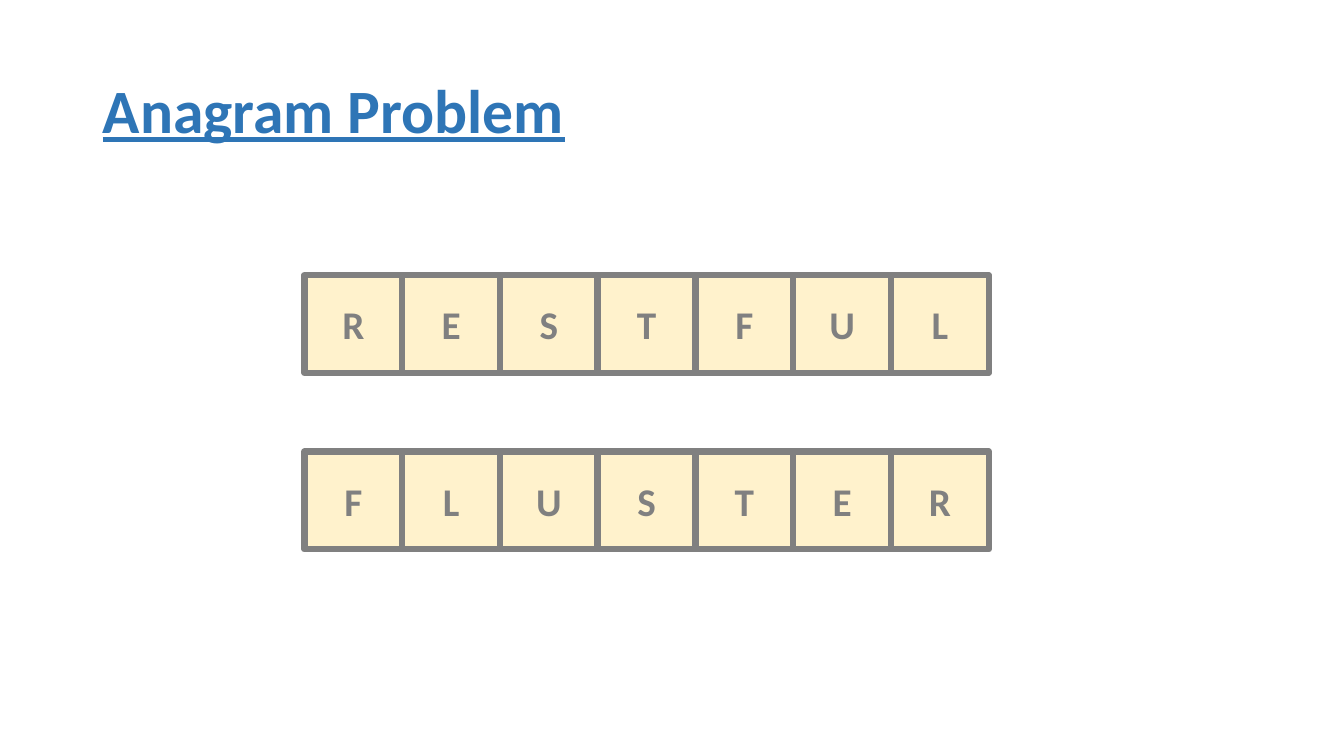
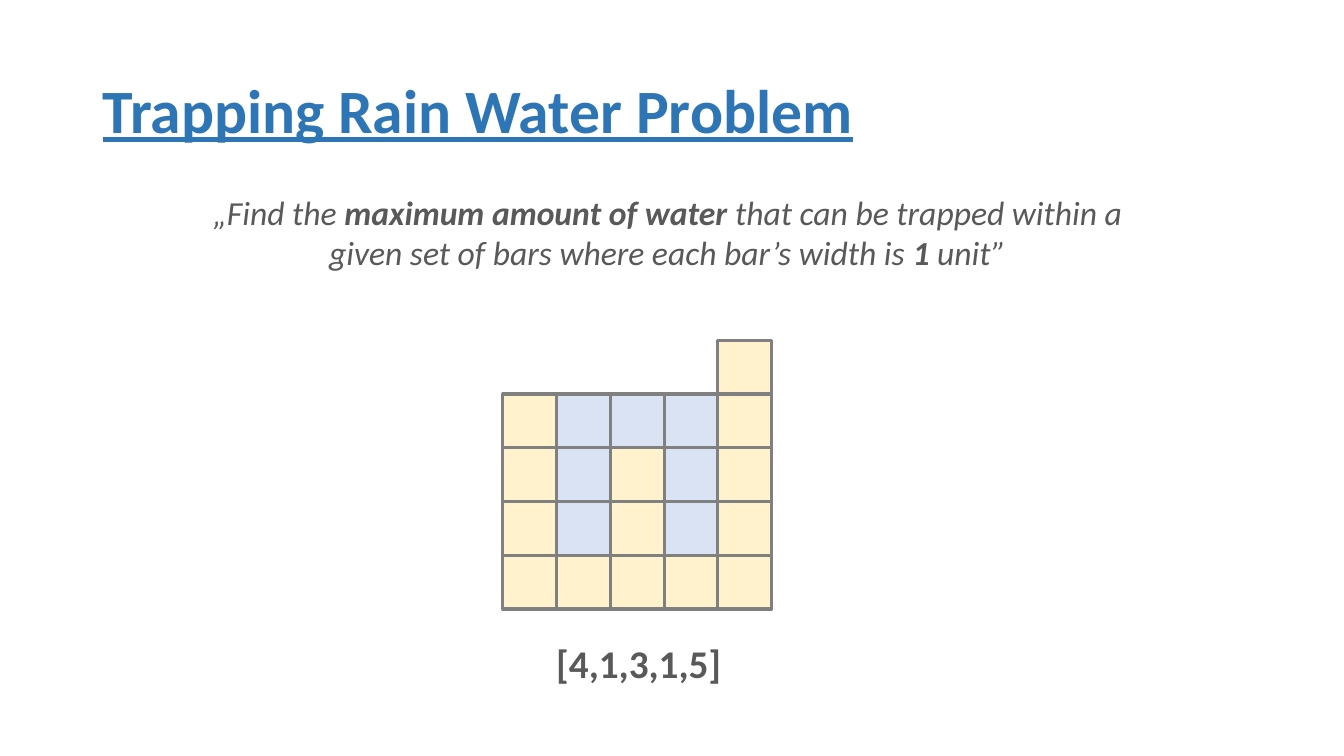
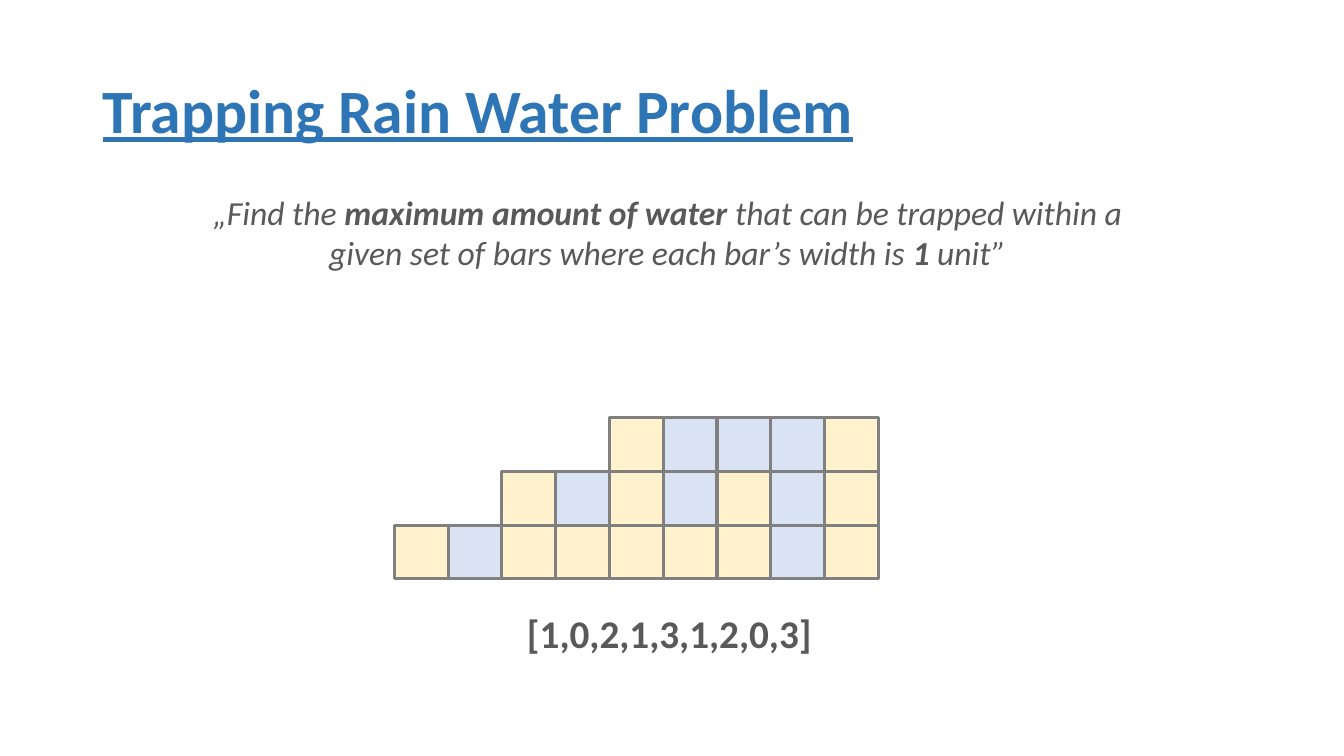
from pptx import Presentation
from pptx.dml.color import RGBColor
from pptx.enum.shapes import MSO_SHAPE
from pptx.enum.text import MSO_ANCHOR, MSO_AUTO_SIZE, PP_ALIGN
from pptx.util import Pt

FONT = "Calibri"
BLUE, GREY, DARK = "2E75B6", "808080", "595959"
CREAM, WATER = "FFF2CC", "DAE3F3"
TITLE_BOX = (66.24, 28.8, 828, 104.4)
STATEMENT_BOX = (77.04, 133.2, 804.96, 152.64)
TILE, TILE_LEFT = 69.84, 217.44
UNIT = 38.4
CAPTION_GAP, CAPTION_HEIGHT = 18, 41.04

STATEMENT = [
    [("„Find the ", False), ("maximum amount of water ", True),
     ("that can be trapped within a ", False)],
    [("given set of bars where each bar’s width is ", False), ("1", True),
     (" unit” ", False)],
]


def color(value):
    return RGBColor.from_string(value)


def add_run(paragraph, text, size, fill, bold=True, italic=False, underline=False):
    run = paragraph.add_run()
    run.text = text
    font = run.font
    font.name, font.size = FONT, Pt(size)
    font.bold, font.italic, font.underline = bold, italic, underline
    font.color.rgb = color(fill)


def add_titled_slide(presentation, text):
    slide = presentation.slides.add_slide(presentation.slide_layouts[5])
    title = slide.shapes.title
    title.left, title.top, title.width, title.height = map(Pt, TITLE_BOX)
    frame = title.text_frame
    frame.auto_size = MSO_AUTO_SIZE.NONE
    frame.vertical_anchor = MSO_ANCHOR.MIDDLE
    paragraph = frame.paragraphs[0]
    paragraph.alignment = PP_ALIGN.LEFT
    paragraph.line_spacing = 0.9
    add_run(paragraph, text, 44, BLUE, underline=True)
    return slide


def add_square(slide, left, top, side, fill, line_width):
    square = slide.shapes.add_shape(
        MSO_SHAPE.RECTANGLE, Pt(left), Pt(top), Pt(side), Pt(side))
    square.shadow.inherit = False
    square.fill.solid()
    square.fill.fore_color.rgb = color(fill)
    square.line.color.rgb = color(GREY)
    square.line.width = Pt(line_width)
    return square


def add_word(slide, word, left, top):
    for column, letter in enumerate(word):
        tile = add_square(slide, left + column * TILE, top, TILE, CREAM, 4.5)
        tile.text_frame.vertical_anchor = MSO_ANCHOR.MIDDLE
        paragraph = tile.text_frame.paragraphs[0]
        paragraph.alignment = PP_ALIGN.CENTER
        add_run(paragraph, letter, 28, GREY)


def add_statement(slide, box):
    frame = slide.shapes.add_textbox(*map(Pt, box)).text_frame
    frame.word_wrap = True
    for index, line in enumerate(STATEMENT):
        paragraph = frame.add_paragraph() if index else frame.paragraphs[0]
        paragraph.alignment = PP_ALIGN.CENTER
        for text, bold in line:
            add_run(paragraph, text, 24, DARK, bold, italic=True)


def add_bars(slide, heights, left, bottom):
    for column, height in enumerate(heights):
        level = min(max(heights[:column + 1]), max(heights[column:]))
        for row in range(level):
            fill = CREAM if row < height else WATER
            add_square(slide, left + column * UNIT, bottom - (row + 1) * UNIT,
                       UNIT, fill, 2.25)


def add_caption(slide, heights, left, top, width):
    box = slide.shapes.add_textbox(Pt(left), Pt(top), Pt(width), Pt(CAPTION_HEIGHT))
    box.text_frame.word_wrap = False
    paragraph = box.text_frame.paragraphs[0]
    add_run(paragraph, f"[{','.join(map(str, heights))}]", 28, DARK)


def add_anagram_slide(presentation, words):
    slide = add_titled_slide(presentation, "Anagram Problem")
    for row, word in enumerate(words):
        add_word(slide, word, TILE_LEFT, 196.56 + row * 126)


def add_water_slide(presentation, heights, left, bottom, caption_left, caption_width):
    slide = add_titled_slide(presentation, "Trapping Rain Water Problem")
    add_statement(slide, STATEMENT_BOX)
    add_bars(slide, heights, left, bottom)
    add_caption(slide, heights, caption_left, bottom + CAPTION_GAP, caption_width)


def main():
    presentation = Presentation()
    presentation.slide_width, presentation.slide_height = Pt(960), Pt(540)
    add_anagram_slide(presentation, ["RESTFUL", "FLUSTER"])
    add_water_slide(presentation, [4, 1, 3, 1, 5], 359.2, 435, 390.24, 133.92)
    add_water_slide(presentation, [1, 0, 2, 1, 3, 1, 2, 0, 3], 281.7, 413.5,
                    369.36, 221.04)
    presentation.save("out.pptx")


if __name__ == "__main__":
    main()
